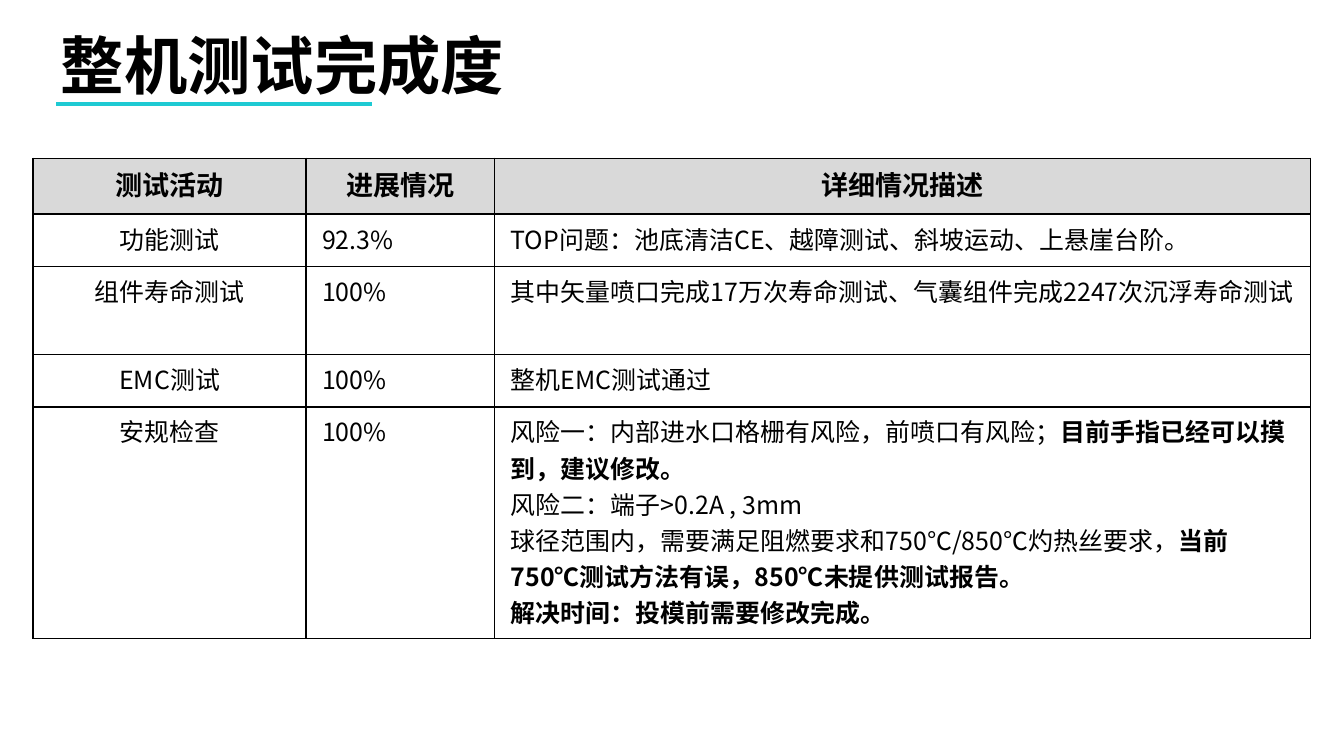
"""Build the slide on whole-machine test completion."""
import dataclasses

import lxml.etree
import pptx
import pptx.dml.color
import pptx.enum.lang
import pptx.enum.shapes
import pptx.enum.text
import pptx.oxml.ns
import pptx.util

Pt = pptx.util.Pt
RGB = pptx.dml.color.RGBColor.from_string
ALIGN = pptx.enum.text.PP_ALIGN
qn = pptx.oxml.ns.qn


@dataclasses.dataclass(frozen=True)
class Theme:
    font: str = "Noto Sans CJK SC"
    text: str = "000000"
    border: str = "000000"
    header_fill: str = "D9D9D9"
    body_fill: str = "FFFFFF"
    accent: tuple = ("1ECAD3", "20C8D3")
    title_size: float = 37.4
    header_size: float = 16
    body_size: float = 14.7
    border_width: float = 0.96


class SlideBuilder:
    def __init__(self, prs, theme):
        self.theme = theme
        self.slide = prs.slides.add_slide(prs.slide_layouts[5])

    def style_run(self, r, size, bold):
        r.font.size = Pt(size)
        r.font.bold = bold
        r.font.name = self.theme.font
        r.font.color.rgb = RGB(self.theme.text)
        r.font.language_id = pptx.enum.lang.MSO_LANGUAGE_ID.SIMPLIFIED_CHINESE
        ea = lxml.etree.SubElement(r.font._element, qn("a:ea"))
        ea.set("typeface", self.theme.font)

    def title(self, text, left, top, width, height):
        sp = self.slide.shapes.title
        sp.left, sp.top, sp.width, sp.height = map(Pt, (left, top, width, height))
        tf = sp.text_frame
        tf.text = text
        tf.word_wrap = True
        tf.auto_size = pptx.enum.text.MSO_AUTO_SIZE.NONE
        tf.vertical_anchor = pptx.enum.text.MSO_ANCHOR.BOTTOM
        tf.margin_left = tf.margin_right = Pt(9.4)
        tf.margin_top = tf.margin_bottom = Pt(5)
        p = tf.paragraphs[0]
        p.alignment = ALIGN.LEFT
        self.style_run(p.runs[0], self.theme.title_size, True)

    def underline(self, left, top, width, height):
        sp = self.slide.shapes.add_shape(
            pptx.enum.shapes.MSO_SHAPE.RECTANGLE, *map(Pt, (left, top, width, height)))
        sp.shadow.inherit = False
        sp.line.fill.background()
        sp.fill.gradient()
        sp.fill.gradient_angle = 350
        for stop, color in zip(sp.fill.gradient_stops, self.theme.accent):
            stop.color.rgb = RGB(color)

    def borders(self, cell):
        tc_pr = cell._tc.get_or_add_tcPr()
        for i, side in enumerate(("a:lnL", "a:lnR", "a:lnT", "a:lnB")):
            ln = lxml.etree.Element(qn(side), w=str(Pt(self.theme.border_width)))
            fill = lxml.etree.SubElement(ln, qn("a:solidFill"))
            lxml.etree.SubElement(fill, qn("a:srgbClr"), val=self.theme.border)
            tc_pr.insert(i, ln)

    def cell(self, cell, text, header, align):
        cell.margin_left = cell.margin_right = Pt(9.4)
        cell.margin_top = cell.margin_bottom = Pt(3.6)
        cell.fill.solid()
        cell.fill.fore_color.rgb = RGB(
            self.theme.header_fill if header else self.theme.body_fill)
        self.borders(cell)
        size = self.theme.header_size if header else self.theme.body_size
        tf = cell.text_frame
        for i, line in enumerate(text.split("\n")):
            p = tf.add_paragraph() if i else tf.paragraphs[0]
            p.alignment = align
            for j, part in enumerate(line.split("**")):
                if part:
                    r = p.add_run()
                    r.text = part
                    self.style_run(r, size, header or j % 2 == 1)

    def table(self, rows, left, top, widths, heights):
        frame = self.slide.shapes.add_table(
            len(rows), len(widths),
            *map(Pt, (left, top, sum(widths), sum(heights))))
        table = frame.table
        table.horz_banding = False
        for column, width in zip(table.columns, widths):
            column.width = Pt(width)
        for i, (row, height) in enumerate(zip(rows, heights)):
            table.rows[i].height = Pt(height)
            for j, text in enumerate(row):
                align = ALIGN.CENTER if i == 0 or j == 0 else ALIGN.LEFT
                self.cell(table.cell(i, j), text, i == 0, align)


TEST_ROWS = [
    ("测试活动", "进展情况", "详细情况描述"),
    ("功能测试", "92.3%", "TOP问题：池底清洁CE、越障测试、斜坡运动、上悬崖台阶。"),
    ("组件寿命测试", "100%",
     "其中矢量喷口完成17万次寿命测试、气囊组件完成2247次沉浮寿命测试"),
    ("EMC测试", "100%", "整机EMC测试通过"),
    ("安规检查", "100%",
     "风险一：内部进水口格栅有风险，前喷口有风险；**目前手指已经可以摸到，建议修改。**\n"
     "风险二：端子>0.2A , 3mm 球径范围内，需要满足阻燃要求和750℃/850℃灼热丝要求，"
     "**当前750℃测试方法有误，850℃未提供测试报告。**\n"
     "**解决时间：投模前需要修改完成。**"),
]


def main():
    prs = pptx.Presentation()
    prs.slide_width, prs.slide_height = Pt(793.5), Pt(446.4)
    s = SlideBuilder(prs, Theme())
    s.title("整机测试完成度", 26.6, 18, 428.4, 47.5)
    s.underline(33.2, 60, 186.5, 2.4)
    s.table(TEST_ROWS, 19.6, 93.5, (161.2, 111.3, 481.7),
            (32.8, 31, 52, 31, 136.8))
    prs.save("out.pptx")


if __name__ == "__main__":
    main()
